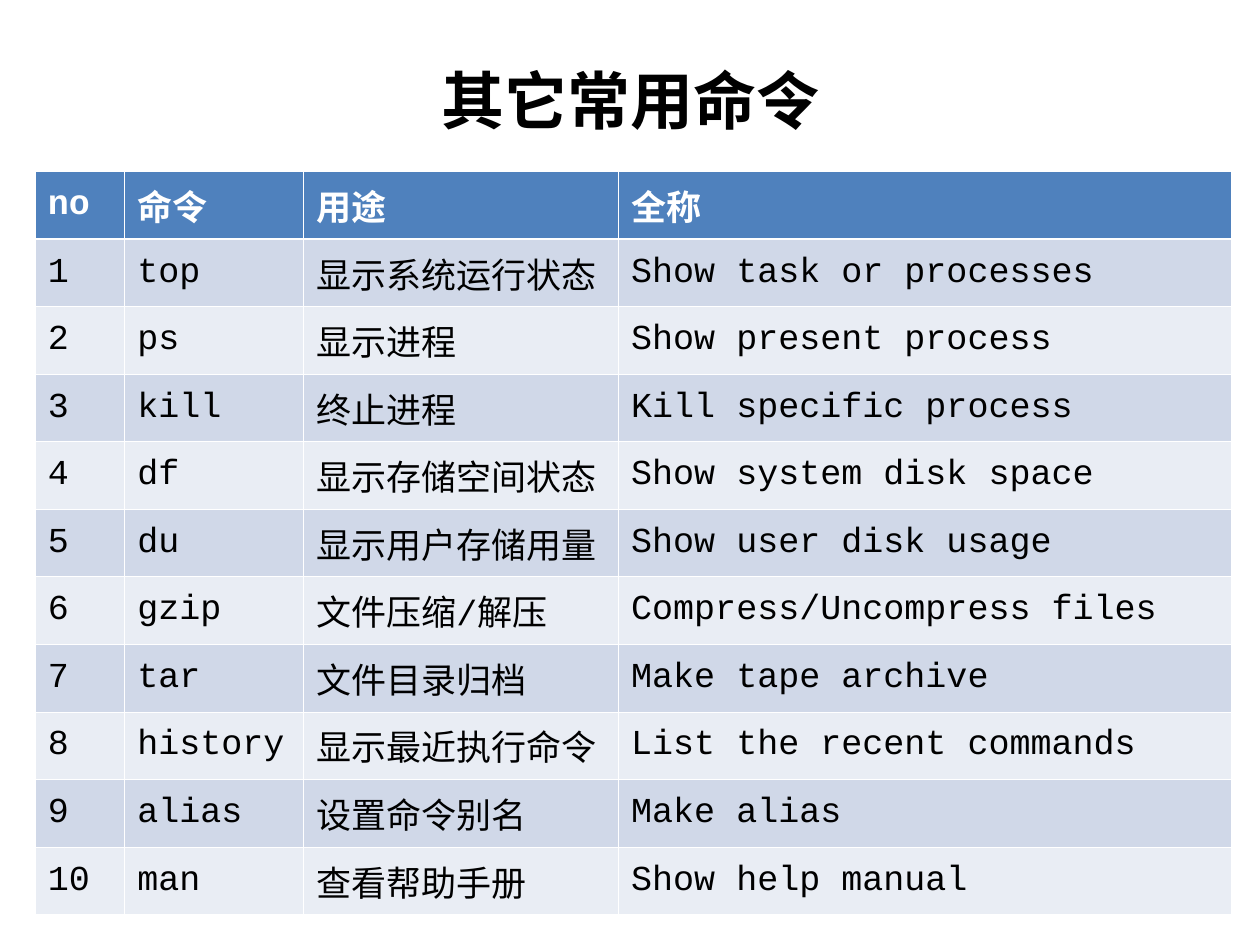
from lxml import etree
from pptx import Presentation
from pptx.dml.color import RGBColor
from pptx.enum import text
from pptx.oxml import ns
from pptx.util import Inches, Pt

COLORS = {
    "title": "000000",
    "header_text": "FFFFFF",
    "body_text": "000000",
    "header_fill": "4F81BD",
    "odd_fill": "D0D8E8",
    "even_fill": "E9EDF4",
    "border": "FFFFFF",
}
COLUMN_WIDTHS = [0.71, 1.42, 2.5, 4.86]
TABLE_HEIGHT = 5.9
THIN, THICK = 0.45, 1.47
HEADINGS = ("no", "命令", "用途", "全称")
COMMANDS = [
    ("top", "显示系统运行状态", "Show task or processes"),
    ("ps", "显示进程", "Show present process"),
    ("kill", "终止进程", "Kill specific process"),
    ("df", "显示存储空间状态", "Show system disk space"),
    ("du", "显示用户存储用量", "Show user disk usage"),
    ("gzip", "文件压缩/解压", "Compress/Uncompress files"),
    ("tar", "文件目录归档", "Make tape archive"),
    ("history", "显示最近执行命令", "List the recent commands"),
    ("alias", "设置命令别名", "Make alias"),
    ("man", "查看帮助手册", "Show help manual"),
]


def set_font(paragraph, name, size, color, bold):
    """Format a whole paragraph."""
    font = paragraph.font
    font.name, font.size, font.bold = name, Pt(size), bold
    font.color.rgb = RGBColor.from_string(COLORS[color])


def set_borders(cell, top, bottom):
    """Draw the four sides of a cell, with widths in points."""
    properties = cell._tc.get_or_add_tcPr()
    sides = {"lnL": THIN, "lnR": THIN, "lnT": top, "lnB": bottom}
    for position, (side, width) in enumerate(sides.items()):
        line = etree.Element(ns.qn(f"a:{side}"), w=str(Pt(width)))
        fill = etree.SubElement(line, ns.qn("a:solidFill"))
        etree.SubElement(fill, ns.qn("a:srgbClr"), val=COLORS["border"])
        properties.insert(position, line)


def fill_cell(cell, wording, row):
    """Write and format one cell according to its row."""
    header = row == 0
    fill = "header_fill" if header else "odd_fill" if row % 2 else "even_fill"
    cell.text = wording
    cell.vertical_anchor = text.MSO_ANCHOR.MIDDLE
    set_font(cell.text_frame.paragraphs[0], "Courier New", 20,
             "header_text" if header else "body_text", header)
    cell.fill.solid()
    cell.fill.fore_color.rgb = RGBColor.from_string(COLORS[fill])
    set_borders(cell, THICK if row == 1 else THIN, THICK if header else THIN)


def add_title(slide, wording):
    """Place and format the slide title."""
    title = slide.shapes.title
    title.left, title.top = Inches(0.28), Inches(0.39)
    title.width, title.height = Inches(9.45), Inches(0.79)
    frame = title.text_frame
    frame.text = wording
    frame.word_wrap = True
    frame.auto_size = text.MSO_AUTO_SIZE.NONE
    frame.vertical_anchor = text.MSO_ANCHOR.MIDDLE
    frame.margin_left = frame.margin_right = Inches(0.14)
    frame.margin_top = frame.margin_bottom = Inches(0.08)
    paragraph = frame.paragraphs[0]
    paragraph.alignment = text.PP_ALIGN.CENTER
    paragraph.space_before = Pt(10)
    set_font(paragraph, "Arial", 36, "title", True)


def add_command_table(slide):
    """Add the table of numbered commands."""
    rows = [HEADINGS] + [(str(number), *command)
                         for number, command in enumerate(COMMANDS, 1)]
    table = slide.shapes.add_table(
        len(rows), len(HEADINGS), Inches(0.28), Inches(1.36),
        Inches(sum(COLUMN_WIDTHS)), Inches(TABLE_HEIGHT)).table
    for column, width in zip(table.columns, COLUMN_WIDTHS):
        column.width = Inches(width)
    for row, wordings in enumerate(rows):
        for column, wording in enumerate(wordings):
            fill_cell(table.cell(row, column), wording, row)


def main():
    """Build and save the slide."""
    presentation = Presentation()
    presentation.slide_width, presentation.slide_height = Inches(10), Inches(7.5)
    slide = presentation.slides.add_slide(presentation.slide_layouts[5])
    add_title(slide, "其它常用命令")
    add_command_table(slide)
    presentation.save("out.pptx")


if __name__ == "__main__":
    main()
